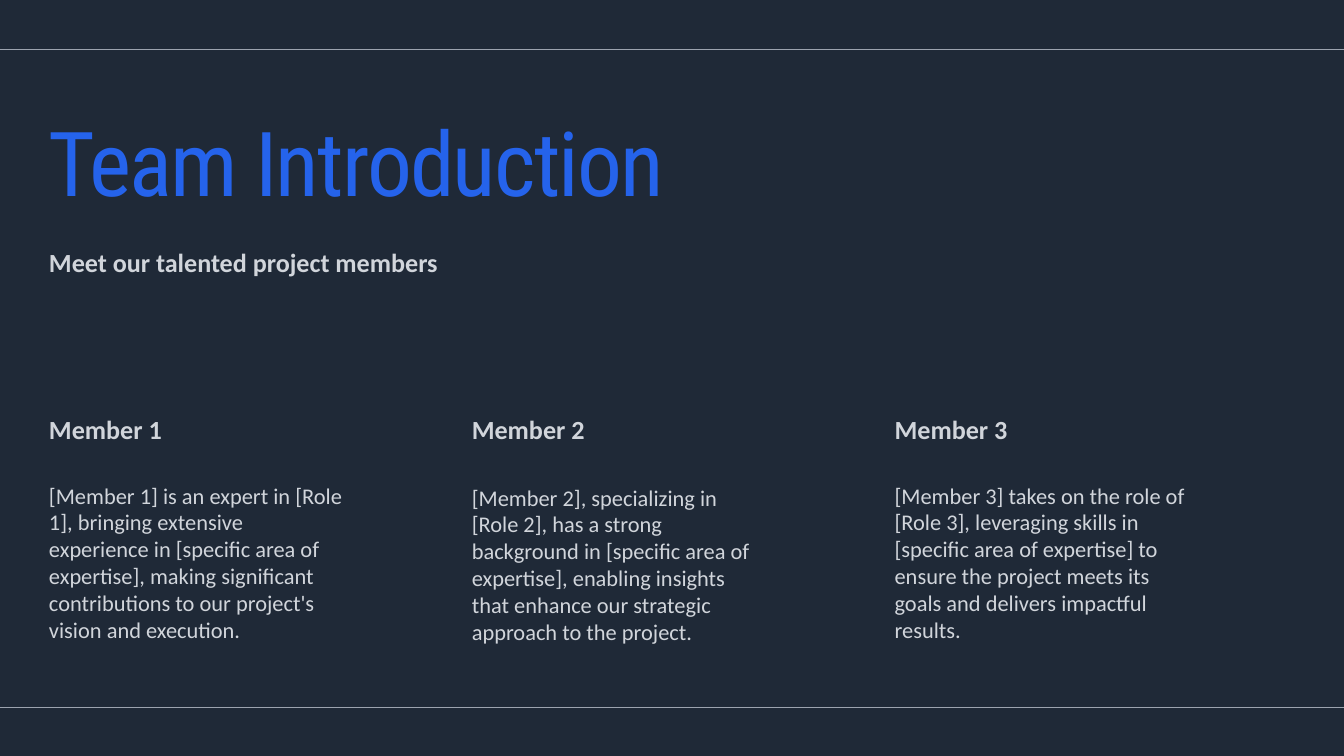
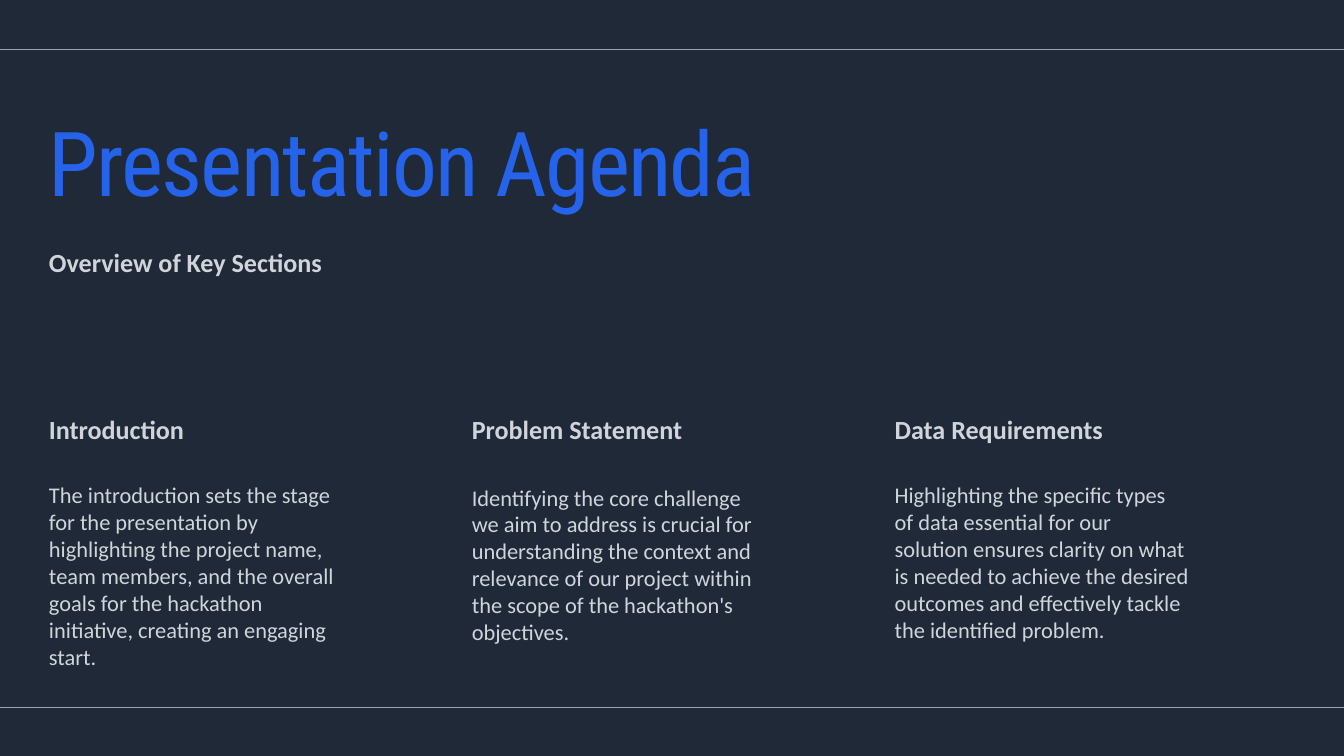
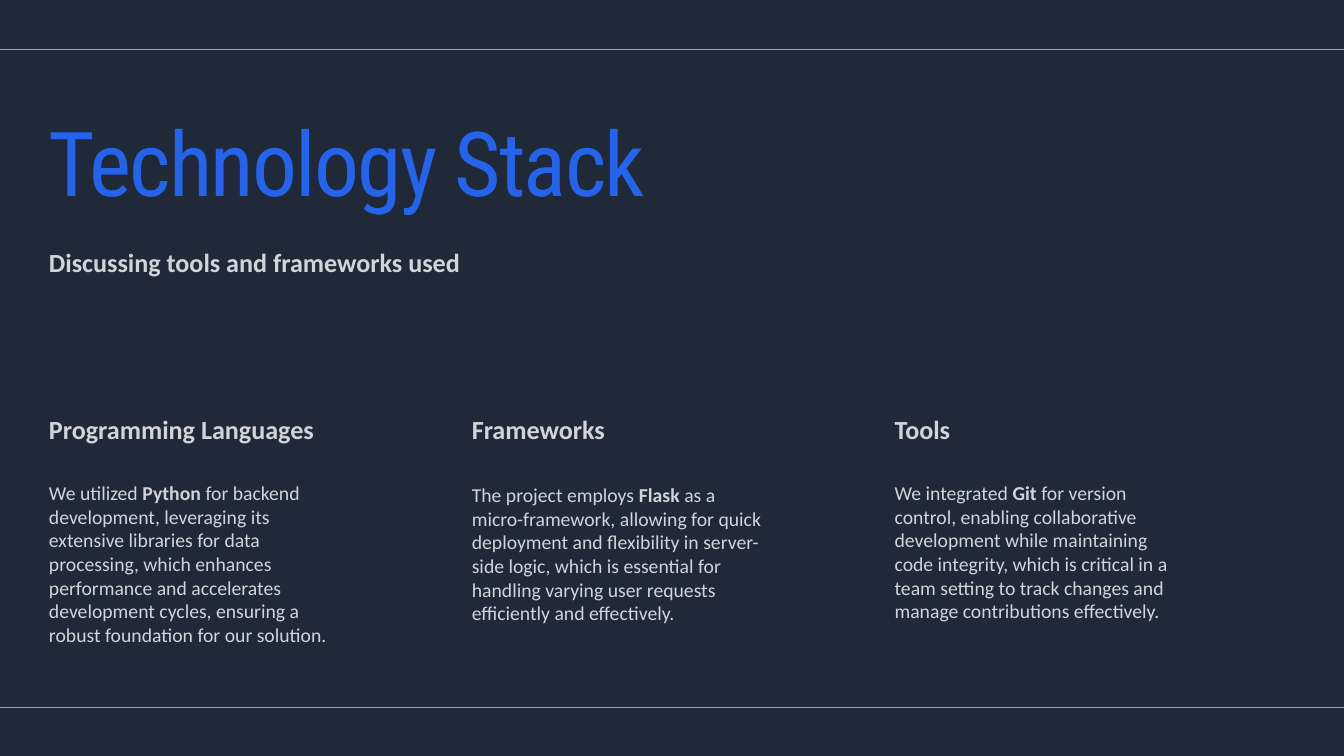
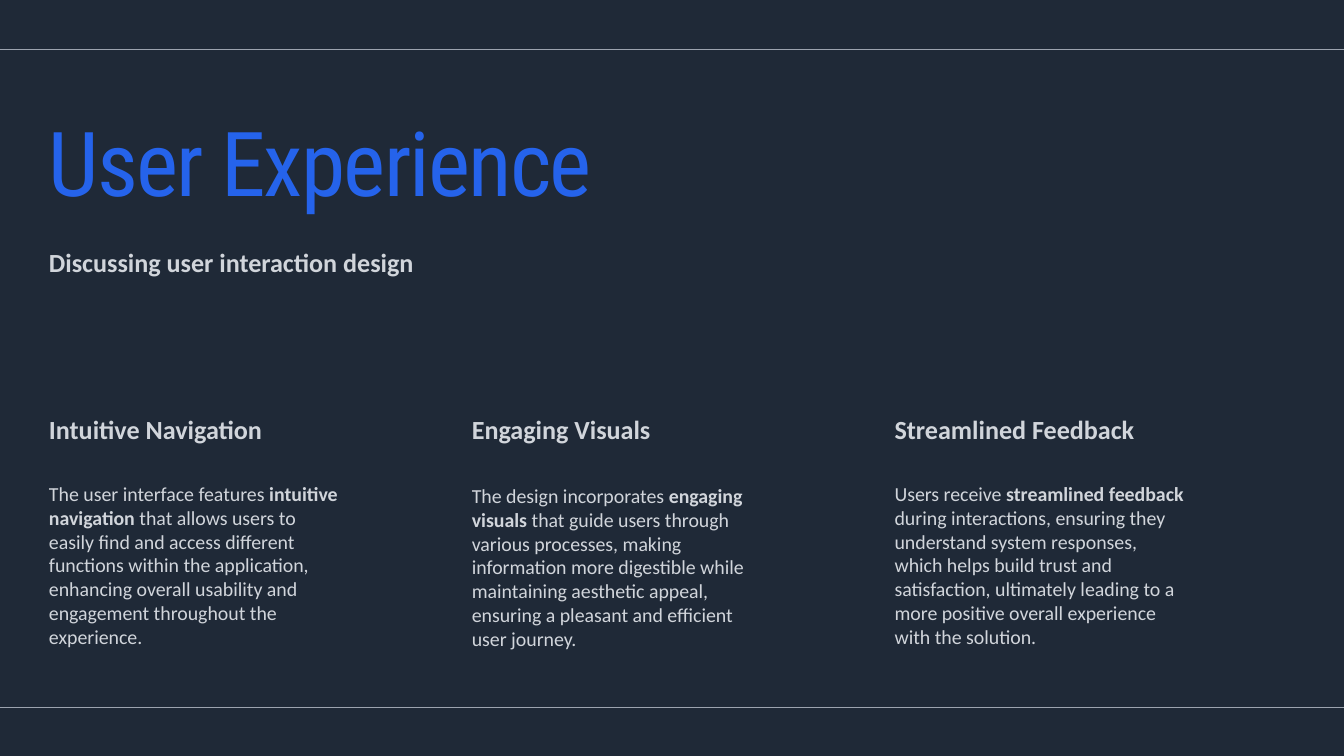
from pptx import Presentation
from pptx.dml.color import RGBColor
from pptx.enum.shapes import MSO_CONNECTOR
from pptx.enum.text import MSO_ANCHOR, MSO_AUTO_SIZE, PP_ALIGN
from pptx.oxml.ns import qn
from pptx.util import Pt
from lxml.etree import SubElement

SLIDES = [
    {
        "title": "Team Introduction",
        "subtitle": "Meet our talented project members",
        "body_size": 24, "body_pitch": 28.8, "body_top": 688,
        "columns": [
            ("Member 1", 228, ["[Member 1] is an expert in [Role 1], bringing extensive experience in [specific area of expertise], making significant contributions to our project's vision and execution."]),
            ("Member 2", 228, ["[Member 2], specializing in [Role 2], has a strong background in [specific area of expertise], enabling insights that enhance our strategic approach to the project."]),
            ("Member 3", 228, ["[Member 3] takes on the role of [Role 3], leveraging skills in [specific area of expertise] to ensure the project meets its goals and delivers impactful results."]),
        ],
    },
    {
        "title": "Presentation Agenda",
        "subtitle": "Overview of Key Sections",
        "body_size": 24, "body_pitch": 28.8, "body_top": 688,
        "columns": [
            ("Introduction", 266, ["The introduction sets the stage for the presentation by highlighting the project name, team members, and the overall goals for the hackathon initiative, creating an engaging start."]),
            ("Problem Statement", 228, ["Identifying the core challenge we aim to address is crucial for understanding the context and relevance of our project within the scope of the hackathon's objectives."]),
            ("Data Requirements", 266, ["Highlighting the specific types of data essential for our solution ensures clarity on what is needed to achieve the desired outcomes and effectively tackle the identified problem."]),
        ],
    },
    {
        "title": "Technology Stack",
        "subtitle": "Discussing tools and frameworks used",
        "body_size": 21.1, "body_pitch": 25.3, "body_top": 687,
        "columns": [
            ("Programming Languages", 265, ["We utilized ", "Python", " for backend development, leveraging its extensive libraries for data processing, which enhances performance and accelerates development cycles, ensuring a robust foundation for our solution."]),
            ("Frameworks", 231, ["The project employs ", "Flask", " as a micro-framework, allowing for quick deployment and flexibility in server-side logic, which is essential for handling varying user requests efficiently and effectively."]),
            ("Tools", 199, ["We integrated ", "Git", " for version control, enabling collaborative development while maintaining code integrity, which is critical in a team setting to track changes and manage contributions effectively."]),
        ],
    },
    {
        "title": "User Experience",
        "subtitle": "Discussing user interaction design",
        "body_size": 21.3, "body_pitch": 25.5, "body_top": 688,
        "columns": [
            ("Intuitive Navigation", 238, ["The user interface features ", "intuitive navigation", " that allows users to easily find and access different functions within the application, enhancing overall usability and engagement throughout the experience."]),
            ("Engaging Visuals", 238, ["The design incorporates ", "engaging visuals", " that guide users through various processes, making information more digestible while maintaining aesthetic appeal, ensuring a pleasant and efficient user journey."]),
            ("Streamlined Feedback", 238, ["Users receive ", "streamlined feedback", " during interactions, ensuring they understand system responses, which helps build trust and satisfaction, ultimately leading to a more positive overall experience with the solution."]),
        ],
    },
]

COLORS = {"background": "1F2937", "title": "2563EB", "text": "D1D5DB", "rule": "9CA3AF"}
TITLE_FONT, TEXT_FONT = "Roboto Condensed", "Calibri"
WIDTH, HEIGHT = 1920, 1080
MARGIN = 70
FULL_WIDTH = WIDTH - 2 * MARGIN
COLUMN_WIDTH, COLUMN_STEP = 421, 604
TITLE_TOP, TITLE_HEIGHT = 179, 139
SUBTITLE_TOP, HEADING_TOP, HEADING_HEIGHT = 352, 590, 44
MIDDLE_DROP = 3
RULE_TOPS = (71, 1011)


def px(length):
    return length * 9525


def color(name):
    return RGBColor.from_string(COLORS[name])


def write(box, runs, size, pitch, font=TEXT_FONT, ink="text", bold=False, tracking=None):
    frame = box.text_frame
    frame.word_wrap = True
    frame.auto_size = MSO_AUTO_SIZE.SHAPE_TO_FIT_TEXT
    frame.vertical_anchor = MSO_ANCHOR.TOP
    frame.margin_left = frame.margin_right = frame.margin_top = frame.margin_bottom = 0
    para = frame.paragraphs[0]
    para.alignment = PP_ALIGN.LEFT
    para.line_spacing = Pt(pitch)
    para.space_before = Pt(0)
    for index, text in enumerate(runs):
        span = para.add_run()
        span.text = text
        span.font.name = font
        span.font.size = Pt(size)
        span.font.bold = bold or index % 2 == 1
        span.font.color.rgb = color(ink)
        if tracking:
            span._r.get_or_add_rPr().set("spc", str(tracking))


def add_box(shapes, left, top, width, height, runs, size, pitch, bold=False):
    box = shapes.add_textbox(px(left), px(top), px(width), px(height))
    write(box, runs, size, pitch, bold=bold)


def add_heading(shapes, left, top, width, text):
    add_box(shapes, left, top, width, HEADING_HEIGHT, [text], 28, 33.6, bold=True)


def add_title(page, text):
    title = page.shapes.title
    title.left, title.top = px(MARGIN), px(TITLE_TOP)
    title.width, title.height = px(FULL_WIDTH), px(TITLE_HEIGHT)
    write(title, [text], 96, 96, TITLE_FONT, "title", tracking=-190)


def add_column(page, index, content, column):
    heading, height, runs = column
    left = MARGIN + index * COLUMN_STEP
    top = content["body_top"] + (MIDDLE_DROP if index == 1 else 0)
    group = page.shapes.add_group_shape()
    add_heading(group.shapes, left, HEADING_TOP, COLUMN_WIDTH, heading)
    add_box(group.shapes, left, top, COLUMN_WIDTH, height, runs,
            content["body_size"], content["body_pitch"])


def add_rule(page, top):
    rule = page.shapes.add_connector(MSO_CONNECTOR.STRAIGHT, 0, px(top), px(WIDTH), px(top))
    rule.line.color.rgb = color("rule")
    rule.line.width = Pt(1.5)
    SubElement(rule._element.spPr, qn("a:effectLst"))


def add_page(deck, content):
    page = deck.slides.add_slide(deck.slide_layouts.get_by_name("Title Only"))
    page.background.fill.solid()
    page.background.fill.fore_color.rgb = color("background")
    add_title(page, content["title"])
    add_heading(page.shapes, MARGIN, SUBTITLE_TOP, FULL_WIDTH, content["subtitle"])
    for index, column in enumerate(content["columns"]):
        add_column(page, index, content, column)
    for top in RULE_TOPS:
        add_rule(page, top)


def main():
    deck = Presentation()
    deck.slide_width, deck.slide_height = px(WIDTH), px(HEIGHT)
    for content in SLIDES:
        add_page(deck, content)
    deck.save("out.pptx")


if __name__ == "__main__":
    main()
